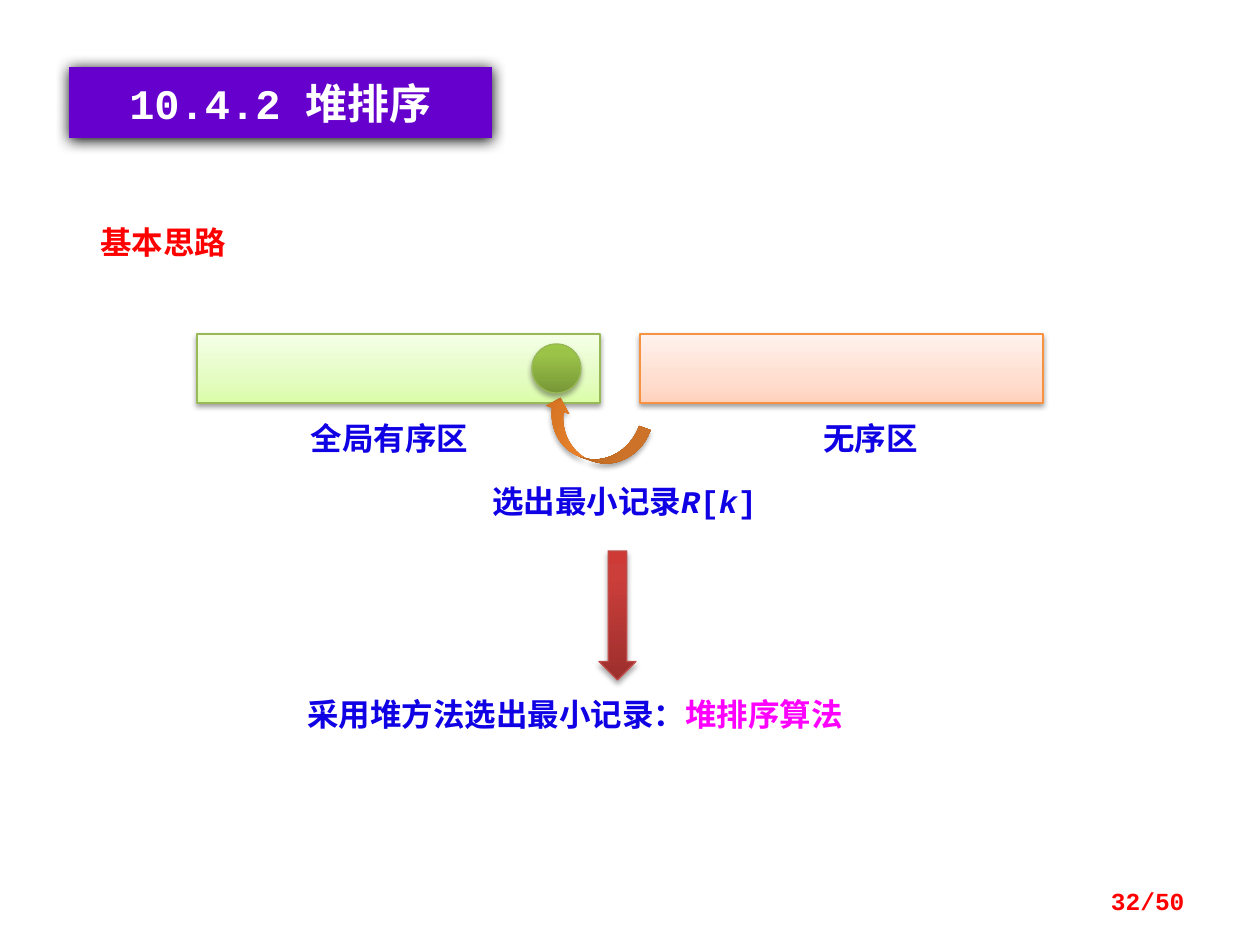
from lxml.etree import SubElement
from pptx import Presentation
from pptx.dml.color import RGBColor
from pptx.enum.shapes import MSO_SHAPE as Shape
from pptx.enum.text import MSO_ANCHOR as Anchor, PP_ALIGN as Align
from pptx.oxml.ns import qn
from pptx.util import Pt

PX = 914400 / 126
DEGREE = 60000

WHITE = RGBColor(0xFF, 0xFF, 0xFF)
BLACK = RGBColor(0x00, 0x00, 0x00)
PURPLE = RGBColor(0x66, 0x00, 0xCC)
BLUE = RGBColor(0x10, 0x00, 0xE4)
RED = RGBColor(0xFF, 0x00, 0x00)
MAGENTA = RGBColor(0xFF, 0x00, 0xFF)
GREEN_LINE = RGBColor(0x98, 0xB9, 0x55)
ORANGE_LINE = RGBColor(0xF6, 0x92, 0x40)
RED_LINE = RGBColor(0xBF, 0x4C, 0x48)

# Gradient colours, from the bottom of a shape to its top
PALE_GREEN = [RGBColor(0xDA, 0xFD, 0xA7), RGBColor(0xE4, 0xFC, 0xC2), RGBColor(0xF5, 0xFF, 0xE7)]
PALE_ORANGE = [RGBColor(0xFF, 0xD2, 0xBD), RGBColor(0xFF, 0xDE, 0xD0), RGBColor(0xFF, 0xF2, 0xED)]
DEEP_GREEN = [RGBColor(0x77, 0x97, 0x37), RGBColor(0x9B, 0xC3, 0x48), RGBColor(0x9D, 0xC7, 0x46)]
DEEP_ORANGE = [RGBColor(0xCC, 0x6E, 0x20), RGBColor(0xFF, 0x90, 0x34), RGBColor(0xFF, 0x91, 0x36)]
DEEP_RED = [RGBColor(0x9C, 0x2F, 0x2D), RGBColor(0xCB, 0x3E, 0x3A), RGBColor(0xCE, 0x3B, 0x37)]

MONO = "Courier New"
SANS = "Noto Sans CJK SC"


def px(*lengths):
    return [round(length * PX) for length in lengths]


def add_color(parent, color, alpha=100):
    node = SubElement(parent, qn("a:srgbClr"), val=str(color))
    if alpha < 100:
        SubElement(node, qn("a:alpha"), val=str(alpha * 1000))


def add_shadow(shape, alpha, blur, distance):
    shape.shadow.inherit = False
    effects = shape._element.spPr.find(qn("a:effectLst"))
    shadow = SubElement(effects, qn("a:outerShdw"), blurRad=str(Pt(blur)),
                        dist=str(Pt(distance)), dir=str(90 * DEGREE), rotWithShape="0")
    add_color(shadow, BLACK, alpha)


def fill_gradient(shape, colors, middle):
    shape.fill.gradient()
    gradient = shape._element.spPr.find(qn("a:gradFill"))
    for child in list(gradient):
        gradient.remove(child)
    stops = SubElement(gradient, qn("a:gsLst"))
    for position, color in zip((0, middle, 100), colors):
        add_color(SubElement(stops, qn("a:gs"), pos=str(position * 1000)), color)
    SubElement(gradient, qn("a:lin"), ang=str(270 * DEGREE), scaled="0")


def add_gradient_shape(slide, kind, box, colors, line=None, middle=80, shadow=(35, 3.1, 1.8)):
    shape = slide.shapes.add_shape(kind, *px(*box))
    fill_gradient(shape, colors, middle)
    if line is None:
        shape.line.fill.background()
    else:
        shape.line.color.rgb = line
        shape.line.width = Pt(0.75)
    add_shadow(shape, *shadow)
    return shape


def write_runs(paragraph, runs, size, font):
    """Each run is (text, colour, italic)."""
    for text, color, italic in runs:
        run = paragraph.add_run()
        run.text = text
        run.font.size = Pt(size)
        run.font.bold = True
        run.font.italic = italic
        run.font.color.rgb = color
        run.font.name = font
        SubElement(run._r.get_or_add_rPr(), qn("a:ea"), typeface=SANS)


def add_label(slide, box, runs, align=Align.LEFT, size=18, font=MONO, anchor=Anchor.TOP):
    frame = slide.shapes.add_textbox(*px(*box)).text_frame
    frame.word_wrap = True
    frame.vertical_anchor = anchor
    frame.paragraphs[0].alignment = align
    write_runs(frame.paragraphs[0], runs, size, font)


def add_title(slide, text):
    banner = slide.shapes.add_shape(Shape.RECTANGLE, *px(69, 67, 423, 71))
    banner.fill.solid()
    banner.fill.fore_color.rgb = PURPLE
    banner.line.fill.background()
    add_shadow(banner, 100, 8.5, 1)
    frame = banner.text_frame
    frame.margin_top, frame.margin_bottom = px(10, 10)
    frame.paragraphs[0].alignment = Align.CENTER
    write_runs(frame.paragraphs[0], [(text, WHITE, False)], 24, MONO)


def add_zone(slide, left, label_left, name, colors, line):
    add_gradient_shape(slide, Shape.RECTANGLE, (left, 334, 403, 69), colors, line,
                       middle=35, shadow=(38, 3.1, 1.6))
    add_label(slide, (label_left, 413, 207, 50), [(name, BLUE, False)], Align.CENTER)


def main():
    prs = Presentation()
    prs.slide_width, prs.slide_height = px(1260, 945)
    slide = prs.slides.add_slide(prs.slide_layouts[6])

    # Headings
    add_title(slide, "10.4.2 堆排序")
    add_label(slide, (88, 217, 266, 50), [("基本思路", RED, False)], font=SANS)

    # Sorted and unsorted zones
    add_zone(slide, 197, 286, "全局有序区", PALE_GREEN, GREEN_LINE)
    add_zone(slide, 640, 767, "无序区", PALE_ORANGE, ORANGE_LINE)

    # Smallest record moving into the sorted zone
    move = add_gradient_shape(slide, Shape.CURVED_LEFT_ARROW, (567, 381, 49, 108), DEEP_ORANGE)
    move.rotation = 109.7
    selection = [("选出最小记录", BLUE, False), ("R", BLUE, True), ("[", BLUE, False),
                 ("k", BLUE, True), ("]", BLUE, False)]
    add_label(slide, (462, 476, 325, 50), selection, Align.CENTER)
    add_gradient_shape(slide, Shape.OVAL, (532, 344, 49, 49), DEEP_GREEN, GREEN_LINE)

    # Conclusion
    add_gradient_shape(slide, Shape.DOWN_ARROW, (599, 551, 37, 129), DEEP_RED, RED_LINE)
    add_label(slide, (295, 689, 709, 50),
              [("采用堆方法选出最小记录：", BLUE, False), ("堆排序算法", MAGENTA, False)])

    # Page number
    add_label(slide, (903, 876, 294, 50), [("32/50", RED, False)], Align.RIGHT,
              size=14, anchor=Anchor.MIDDLE)

    prs.save("out.pptx")


if __name__ == "__main__":
    main()
